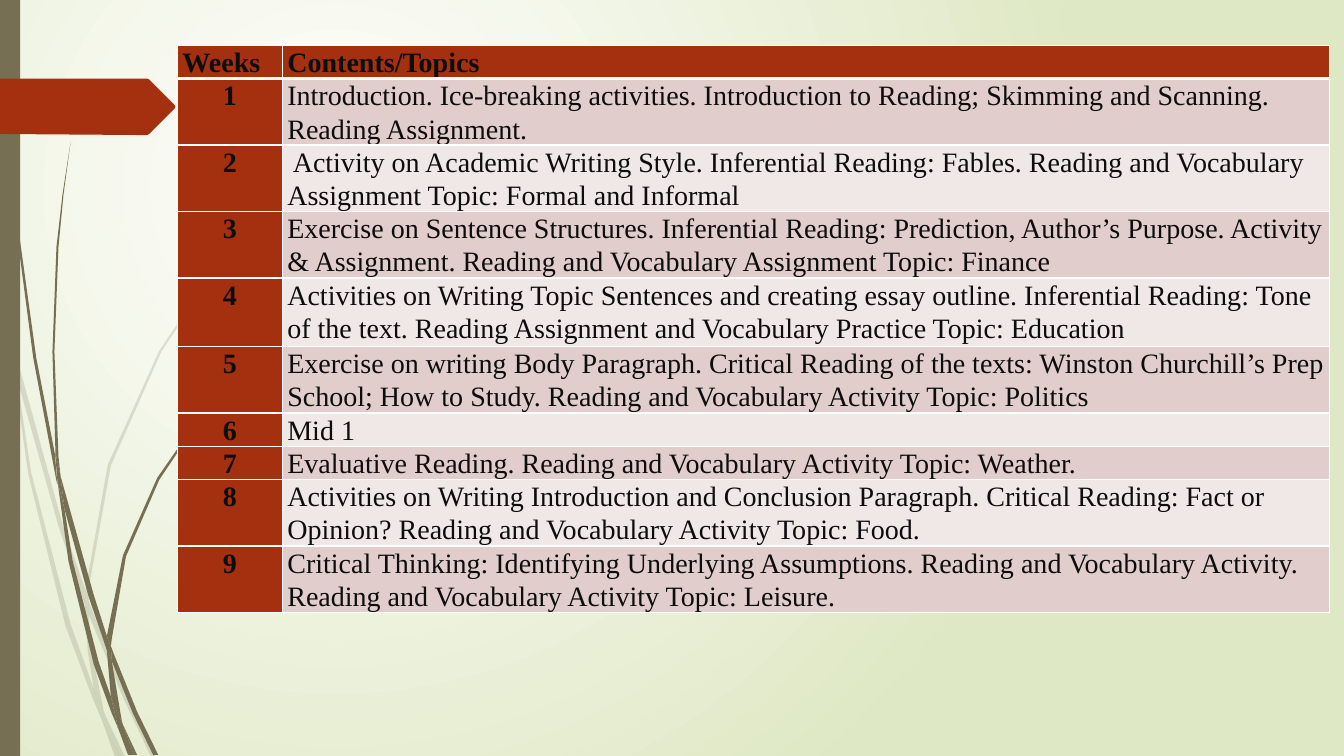
"""Build a course schedule slide: a table of weekly topics beside a wisp ornament."""
from lxml import etree
from pptx import Presentation
from pptx.dml.color import RGBColor
from pptx.enum.shapes import MSO_SHAPE
from pptx.enum.text import MSO_ANCHOR, PP_ALIGN
from pptx.oxml.ns import qn
from pptx.util import Inches, Pt

RECTANGLE = MSO_SHAPE.RECTANGLE
TOP, MIDDLE = MSO_ANCHOR.TOP, MSO_ANCHOR.MIDDLE
LEFT, CENTER = PP_ALIGN.LEFT, PP_ALIGN.CENTER

OLIVE, RUST, WHITE, INK = "766F54", "A53010", "FFFFFF", "0D0D0D"
PALE_GREEN = "DFE8C4"
BANDS = ("E1CDCC", "F0E8E7")

TOPICS = [
    "Introduction. Ice-breaking activities. Introduction to Reading; Skimming and Scanning. "
    "Reading Assignment.",
    " Activity on Academic Writing Style. Inferential Reading: Fables. Reading and Vocabulary "
    "Assignment Topic: Formal and Informal",
    "Exercise on Sentence Structures. Inferential Reading: Prediction, Author’s Purpose. "
    "Activity & Assignment. Reading and Vocabulary Assignment Topic: Finance",
    "Activities on Writing Topic Sentences and creating essay outline. Inferential Reading: Tone "
    "of the text. Reading Assignment and Vocabulary Practice Topic: Education",
    "Exercise on writing Body Paragraph. Critical Reading of the texts: Winston Churchill’s Prep "
    "School; How to Study. Reading and Vocabulary Activity Topic: Politics",
    "Mid 1",
    "Evaluative Reading. Reading and Vocabulary Activity Topic: Weather.",
    "Activities on Writing Introduction and Conclusion Paragraph. Critical Reading: Fact or "
    "Opinion? Reading and Vocabulary Activity Topic: Food.",
    "Critical Thinking: Identifying Underlying Assumptions. Reading and Vocabulary Activity. "
    "Reading and Vocabulary Activity Topic: Leisure.",
]
COLUMN_WIDTHS = (1.04, 10.39)
ROW_HEIGHTS = (0.23, 0.47, 0.47, 0.47, 0.68, 0.49, 0.25, 0.26, 0.48, 0.47)
CELL_FORMAT = {"margin_left": Inches(0.05), "margin_right": Inches(0.05),
               "margin_top": 0, "margin_bottom": 0}

FAINT_BLADES = [
    [(11, 350), (9, 322), (0, 282), (0, 299), (10, 344)],
    [(58, 522), (84, 599), (85, 586), (62, 520), (14, 345), (17, 376)],
    [(92, 607), (88, 596), (88, 610), (123, 694), (150, 751), (155, 751), (127, 692)],
    [(119, 751), (124, 751), (105, 711)],
    [(93, 683), (70, 619), (31, 469), (17, 376), (11, 350), (28, 470), (65, 621), (92, 693),
     (101, 714), (99, 707)],
    [(84, 599), (87, 646), (93, 683), (96, 692), (105, 711), (103, 706), (91, 646), (88, 610),
     (88, 608)],
    [(88, 584), (110, 462), (160, 349), (229, 245), (268, 198), (290, 175), (312, 154),
     (312, 153), (289, 175), (268, 197), (228, 244), (158, 348), (107, 461), (85, 584),
     (85, 586), (88, 596)],
    [(101, 714), (114, 751), (119, 751)],
    [(88, 608), (88, 610), (88, 596), (85, 586), (84, 599)],
    [(96, 692), (93, 683), (99, 707), (101, 714), (119, 751), (105, 711)],
]
SOLID_BLADES = [
    [(7, 110), (17, 233), (33, 355), (56, 477), (57, 481), (55, 457), (55, 453), (36, 355),
     (19, 232), (8, 109), (5, 48), (4, 0), (3, 0), (4, 48)],
    [(88, 592), (106, 645), (106, 633), (106, 631), (93, 590), (60, 472), (64, 505)],
    [(113, 649), (110, 641), (111, 656), (132, 708), (152, 749), (157, 749), (136, 706)],
    [(110, 691), (98, 657), (72, 556), (64, 505), (57, 477), (68, 557), (93, 659), (111, 708),
     (117, 722), (116, 717)],
    [(60, 472), (58, 453), (54, 349), (58, 245), (63, 193), (70, 141), (62, 193), (56, 245),
     (52, 349), (55, 449)],
    [(133, 749), (136, 749), (122, 719)],
    [(57, 477), (64, 505), (60, 472), (55, 449), (55, 453)],
    [(111, 633), (125, 552), (158, 476), (205, 406), (231, 374), (245, 359), (261, 344),
     (260, 344), (245, 358), (231, 373), (204, 405), (156, 474), (122, 551), (106, 631),
     (110, 641)],
    [(117, 722), (127, 749), (131, 749)],
    [(106, 645), (110, 691), (116, 706), (122, 719), (121, 716), (111, 656), (109, 651)],
    [(106, 645), (109, 651), (111, 656), (110, 641), (106, 631), (106, 633)],
    [(116, 706), (110, 691), (116, 717), (117, 722), (130, 749), (133, 749), (122, 719)],
]
ARROW = [(173, 108), (148, 133), (146, 134), (136, 134), (0, 133), (0, 78), (146, 78),
         (148, 79), (173, 104), (174, 106)]


def rgb(value):
    """Turn a hex string into a colour."""
    return RGBColor.from_string(value)


def paint(shape, color, opacity=100):
    """Give a shape a plain fill without line or shadow."""
    shape.shadow.inherit = False
    shape.line.fill.background()
    shape.fill.solid()
    shape.fill.fore_color.rgb = rgb(color)
    if opacity < 100:
        tint = shape.fill._xPr.find(qn("a:solidFill"))[0]
        etree.SubElement(tint, qn("a:alpha"), val=str(opacity * 1000))


def add_outline(slide, points, color, opacity=100):
    """Draw a closed outline from points in hundredths of an inch."""
    builder = slide.shapes.build_freeform(*points[0], scale=Inches(0.01))
    builder.add_line_segments(points[1:], close=True)
    paint(builder.convert_to_shape(), color, opacity)


def set_background(slide):
    """Spread a white to pale green radial gradient behind the slide."""
    fill = slide.background.fill
    fill.gradient()
    for stop, color in zip(fill.gradient_stops, (WHITE, PALE_GREEN)):
        stop.color.rgb = rgb(color)
    gradient = slide.element.xpath(".//a:gradFill")[0]
    gradient.remove(gradient.find(qn("a:lin")))
    circle = etree.SubElement(gradient, qn("a:path"), path="circle")
    etree.SubElement(circle, qn("a:fillToRect"), l="50000", t="50000", r="100000", b="100000")


def add_borders(cell, top, bottom):
    """Line a cell in white with the given top and bottom widths in points."""
    properties = cell._tc.get_or_add_tcPr()
    for side, width in {"L": 1, "R": 1, "T": top, "B": bottom}.items():
        border = etree.SubElement(properties, qn(f"a:ln{side}"), w=str(Pt(width)))
        paint_node = etree.SubElement(border, qn("a:solidFill"))
        etree.SubElement(paint_node, qn("a:srgbClr"), val=WHITE)


def fill_cell(cell, text, color, bold, align=LEFT, anchor=TOP):
    """Write text into a cell and style it."""
    for name, value in {**CELL_FORMAT, "vertical_anchor": anchor}.items():
        setattr(cell, name, value)
    cell.fill.solid()
    cell.fill.fore_color.rgb = rgb(color)
    paragraph = cell.text_frame.paragraphs[0]
    paragraph.alignment, paragraph.line_spacing = align, 1.07
    run = paragraph.add_run()
    run.text = text
    for name, value in {"name": "Times New Roman", "size": Pt(20), "bold": bold}.items():
        setattr(run.font, name, value)
    run.font.color.rgb = rgb(INK)


def add_schedule(slide):
    """Add the table of weeks and topics."""
    schedule = slide.shapes.add_table(
        len(ROW_HEIGHTS), len(COLUMN_WIDTHS), Inches(1.76), Inches(0.45),
        Inches(sum(COLUMN_WIDTHS)), Inches(sum(ROW_HEIGHTS))).table
    for column, width in zip(schedule.columns, COLUMN_WIDTHS):
        column.width = Inches(width)
    for index, (row, height) in enumerate(zip(schedule.rows, ROW_HEIGHTS)):
        row.height = Inches(height)
        for cell in row.cells:
            add_borders(cell, 3 if index == 1 else 1, 3 if index == 0 else 1)
    for column, heading in enumerate(("Weeks", "Contents/Topics")):
        fill_cell(schedule.cell(0, column), heading, RUST, True, anchor=MIDDLE)
    for week, topic in enumerate(TOPICS, 1):
        fill_cell(schedule.cell(week, 0), str(week), RUST, True, CENTER)
        fill_cell(schedule.cell(week, 1), topic, BANDS[(week - 1) % 2], False)


def main():
    """Build the slide and save it."""
    deck = Presentation()
    deck.slide_width, deck.slide_height = Inches(13.33), Inches(7.5)
    slide = deck.slides.add_slide(deck.slide_layouts[6])
    set_background(slide)
    for blade in FAINT_BLADES:
        add_outline(slide, blade, OLIVE, 20)
    for blade in SOLID_BLADES:
        add_outline(slide, blade, OLIVE)
    paint(slide.shapes.add_shape(RECTANGLE, 0, 0, Inches(0.2), Inches(7.5)), OLIVE)
    add_outline(slide, ARROW, RUST)
    add_schedule(slide)
    deck.save("out.pptx")


if __name__ == "__main__":
    main()
